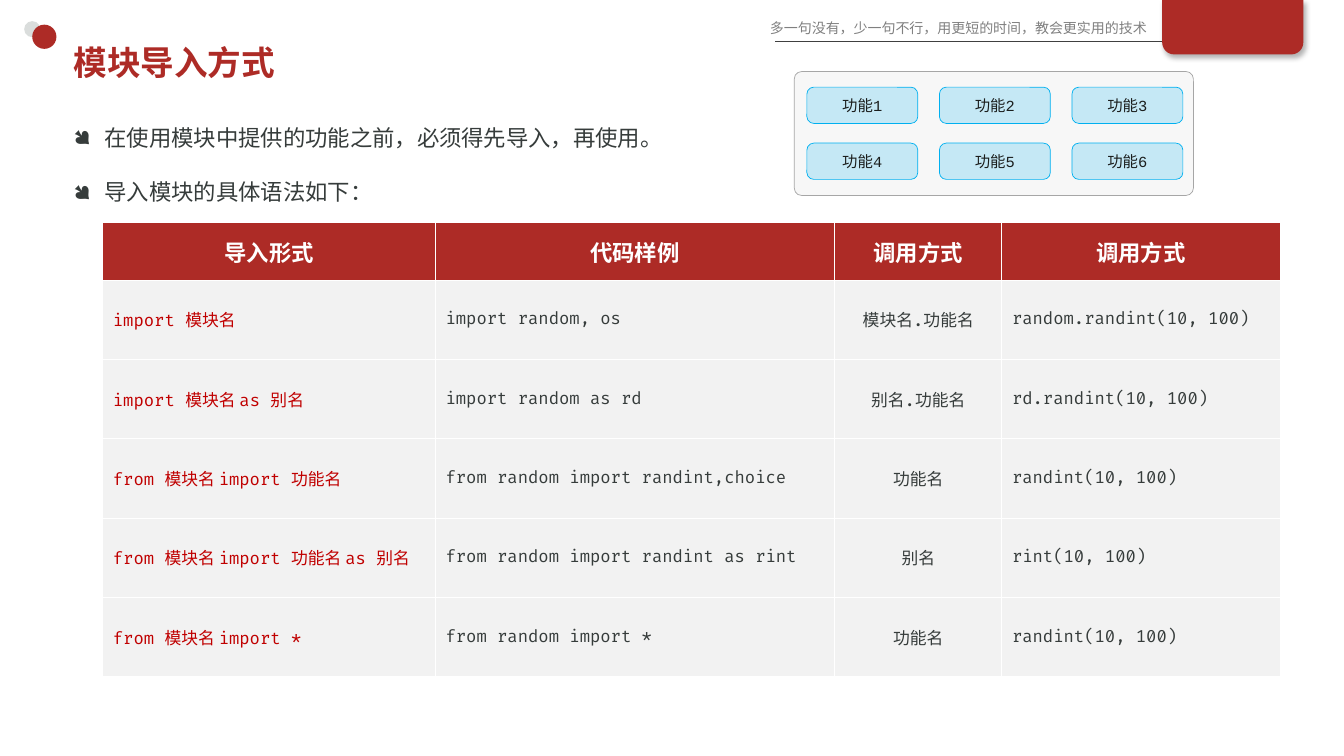
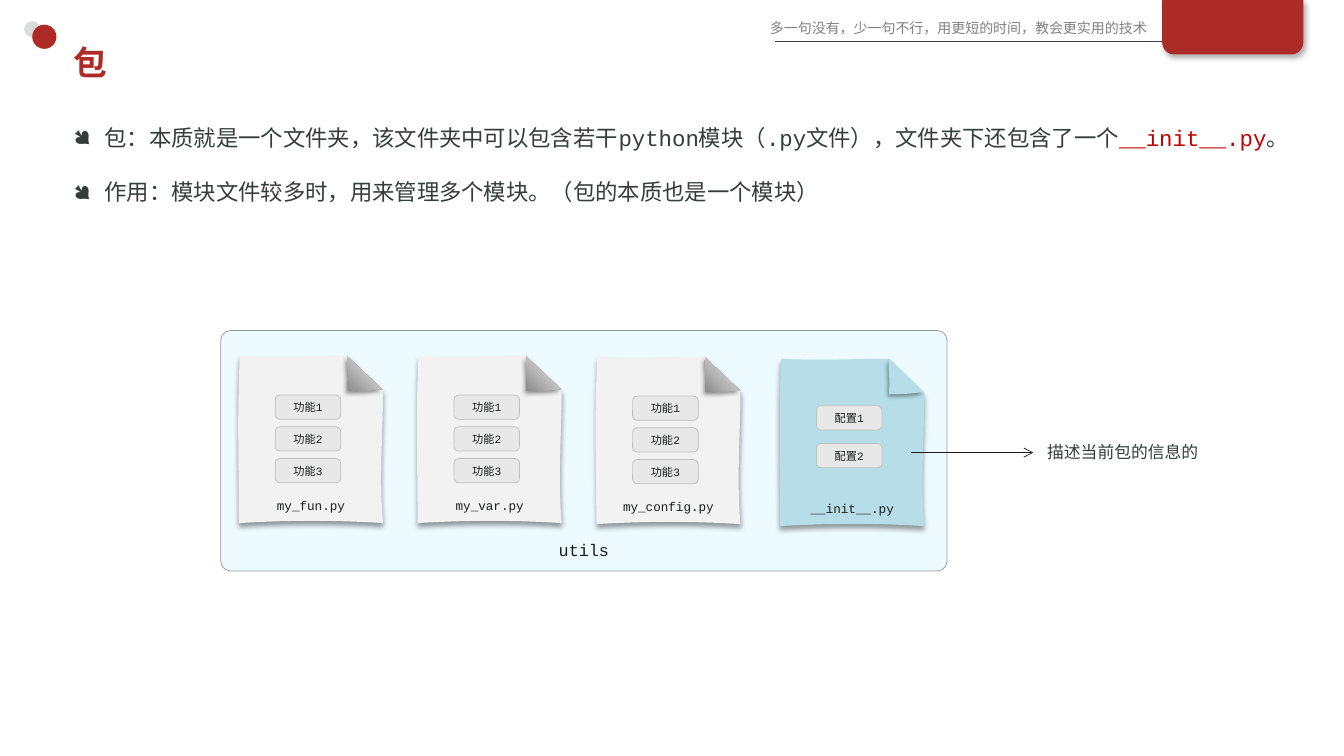
from lxml.etree import Element, SubElement
from pptx import Presentation
from pptx.dml.color import RGBColor
from pptx.enum.shapes import MSO_CONNECTOR, MSO_SHAPE
from pptx.enum.text import MSO_ANCHOR, MSO_AUTO_SIZE, PP_ALIGN
from pptx.oxml.ns import qn
from pptx.util import Inches, Pt

COLORS = {
    "brand": "AD2B26", "dot": "DADDDC", "rule": "404040", "motto": "808080",
    "body": "363C3B", "ink": "1B1E1D", "accent": "C00000", "white": "FFFFFF",
    "cell": "F2F2F2", "panel": "D9D9D9", "panel_edge": "A6A6A6", "sky": "00B0F0",
    "folder": "A7E8FF", "folder_edge": "8F9997", "page": "F2F2F2", "init": "B7DEE8",
    "tag": "E8E8E8", "tag_edge": "BFBFBF", "fold": "8C8C8C", "shadow": "000000",
}
MONO, CODE, HAN = "Courier New", "Fira Code", "Noto Sans CJK SC"
CENTER, LEFT = PP_ALIGN.CENTER, PP_ALIGN.LEFT
MOTTO = "多一句没有，少一句不行，用更短的时间，教会更实用的技术"

# Import forms: syntax, sample, how to call, call sample
HEADINGS = ["导入形式", "代码样例", "调用方式", "调用方式"]
IMPORTS = [
    ["import 模块名", "import random, os", "模块名.功能名", "random.randint(10, 100)"],
    ["import 模块名 as 别名", "import random as rd", "别名.功能名", "rd.randint(10, 100)"],
    ["from 模块名 import 功能名", "from random import randint,choice", "功能名",
     "randint(10, 100)"],
    ["from 模块名 import 功能名 as 别名", "from random import randint as rint", "别名",
     "rint(10, 100)"],
    ["from 模块名 import *", "from random import *", "功能名", "randint(10, 100)"],
]

# Page outline on the grid, from the page's top left corner; six numbers are a curve
PAGE = [(0.2, 0), (4.2, 0.2, 7.2, 0, 10.8, 0), (10.9, 0), (14.4, 3.4),
        (14.4, 7.8, 14, 12, 14.4, 16.6), (9.5, 16.3, 5.2, 16.3, 0.1, 16.6),
        (0.1, 11, -0.1, 5.5, 0.2, 0)]
FOLD = [(10.9, 0.1), (14.3, 3.3), (13.1, 3.4, 13.3, 3.5, 10.9, 3.5),
        (11, 1.1, 10.8, 1.2, 10.9, 0.1)]


def grid(cells):
    """Columns or rows of the grid, each a tenth of an inch."""
    return Inches(cells / 10)


def rgb(name):
    return RGBColor.from_string(COLORS[name])


def style(paragraph, size, color, font=MONO, bold=False, align=LEFT):
    paragraph.alignment = align
    face = paragraph.font
    face.size, face.bold, face.name = Pt(size), bold, font
    face.color.rgb = rgb(color)
    defaults = paragraph._p.pPr.find(qn("a:defRPr"))
    SubElement(defaults, qn("a:ea")).set("typeface", HAN)


def paint(shape, fill, edge=None, opacity=None):
    shape.shadow.inherit = False
    shape.fill.solid()
    shape.fill.fore_color.rgb = rgb(fill)
    if opacity:
        tint = shape.fill._xPr.find(qn("a:solidFill"))[0]
        SubElement(tint, qn("a:alpha")).set("val", str(opacity * 1000))
    if edge:
        shape.line.color.rgb = rgb(edge)
        shape.line.width = Pt(0.5)
    else:
        shape.line.fill.background()


def cast_shadow(shape, opacity, blur, distance, angle):
    effects = shape._element.spPr.find(qn("a:effectLst"))
    shadow = SubElement(effects, qn("a:outerShdw"), blurRad=str(Pt(blur)),
                        dist=str(Pt(distance)), dir=str(angle * 60000),
                        algn="t", rotWithShape="0")
    tint = SubElement(shadow, qn("a:srgbClr"), val=COLORS["shadow"])
    SubElement(tint, qn("a:alpha"), val=str(opacity * 1000))


def label(shape, text, size, anchor=MSO_ANCHOR.MIDDLE, bottom=0):
    frame = shape.text_frame
    frame.margin_left = frame.margin_right = frame.margin_top = 0
    frame.margin_bottom = grid(bottom)
    frame.vertical_anchor = anchor
    frame.text = text
    style(frame.paragraphs[0], size, "ink", align=CENTER)


def add_preset(slide, preset, left, top, width, height, fill, edge=None,
               opacity=None, corners=()):
    shape = slide.shapes.add_shape(preset, grid(left), grid(top), grid(width), grid(height))
    for index, corner in enumerate(corners):
        shape.adjustments[index] = corner
    paint(shape, fill, edge, opacity)
    return shape


def add_rounded(slide, left, top, width, height, fill, edge, opacity=None, corner=0.19):
    return add_preset(slide, MSO_SHAPE.ROUNDED_RECTANGLE, left, top, width, height,
                      fill, edge, opacity, [corner])


def add_note(slide, left, top, width, height, text, size, color, wrap=True):
    box = slide.shapes.add_textbox(grid(left), grid(top), grid(width), grid(height))
    frame = box.text_frame
    frame.word_wrap = wrap
    frame.vertical_anchor = MSO_ANCHOR.MIDDLE
    frame.text = text
    style(frame.paragraphs[0], size, color, HAN)


def add_rule(slide, start, end, row, color, width):
    rule = slide.shapes.add_connector(MSO_CONNECTOR.STRAIGHT, grid(start), grid(row),
                                      grid(end), grid(row))
    rule.line.color.rgb = rgb(color)
    rule.line.width = Pt(width)
    SubElement(rule._element.spPr, qn("a:effectLst"))
    return rule


def add_outline(slide, left, top, outline, fill):
    """A closed outline through the end point of each part, with its curves bent."""
    ends = [(grid(left + part[-2]), grid(top + part[-1])) for part in outline]
    builder = slide.shapes.build_freeform(*ends[0])
    builder.add_line_segments(ends[1:], close=True)
    shape = builder.convert_to_shape()
    segments = list(shape._element.iter(qn("a:lnTo")))
    for segment, part in zip(segments, outline[1:]):
        if len(part) == 2:
            continue
        curve = Element(qn("a:cubicBezTo"))
        for x, y in (part[:2], part[2:4], part[4:]):
            SubElement(curve, qn("a:pt"), x=str(grid(left + x) - shape.left),
                       y=str(grid(top + y) - shape.top))
        segment.getparent().replace(segment, curve)
    paint(shape, fill)
    return shape


def add_slide(deck, heading):
    """A slide with the shared motto, corner band, dots and title."""
    slide = deck.slides.add_slide(deck.slide_layouts[5])
    add_note(slide, 75.4, 1.4, 42.1, 2.7, MOTTO, 10, "motto")
    add_rule(slide, 76.9, 116.3, 4.1, "rule", 1)
    band = add_preset(slide, MSO_SHAPE.ROUND_2_SAME_RECTANGLE, 115.3, 0, 14, 5.4,
                      "brand", corners=[0, 0.22])
    cast_shadow(band, 30, 4, 3, 60)
    add_preset(slide, MSO_SHAPE.OVAL, 2.4, 2.1, 1.6, 1.6, "dot")
    add_preset(slide, MSO_SHAPE.OVAL, 3.2, 2.45, 2.4, 2.4, "brand")
    title = slide.shapes.title
    title.left, title.top, title.width, title.height = map(grid, (6.3, 3.6, 117.5, 5.2))
    frame = title.text_frame
    frame.auto_size = MSO_AUTO_SIZE.NONE
    frame.vertical_anchor = MSO_ANCHOR.MIDDLE
    frame.text = heading
    style(frame.paragraphs[0], 24, "brand", bold=True)
    return slide


def add_bullets(slide, width, points):
    """Each point is a list of runs; a (text, colour) pair is a highlighted run."""
    box = slide.shapes.add_textbox(grid(6.3), grid(10.5), grid(width), grid(11.5))
    frame = box.text_frame
    frame.word_wrap = True
    for index, runs in enumerate(points):
        paragraph = frame.add_paragraph() if index else frame.paragraphs[0]
        paragraph.line_spacing = 1.5
        paragraph.space_before = Pt(10 if index else 0)
        properties = paragraph._p.get_or_add_pPr()
        properties.set("marL", str(grid(3.1)))
        properties.set("indent", str(-grid(3.1)))
        SubElement(properties, qn("a:buFont")).set("typeface", "Wingdings")
        SubElement(properties, qn("a:buChar")).set("char", "●")
        style(paragraph, 16, "body")
        for part in runs:
            text, color = part if isinstance(part, tuple) else (part, None)
            run = paragraph.add_run()
            run.text = text
            if color:
                run.font.color.rgb = rgb(color)


def fill_cell(cell, text, fill, **look):
    cell.text = text
    cell.vertical_anchor = MSO_ANCHOR.MIDDLE
    style(cell.text_frame.paragraphs[0], **look)
    properties = cell._tc.get_or_add_tcPr()
    for side in ("a:lnL", "a:lnR", "a:lnT", "a:lnB"):
        border = SubElement(properties, qn(side), w=str(Pt(0.75)))
        SubElement(SubElement(border, qn("a:solidFill")), qn("a:srgbClr"),
                   val=COLORS["white"])
    cell.fill.solid()
    cell.fill.fore_color.rgb = rgb(fill)


def add_import_table(slide):
    columns, rows = [33, 39.6, 16.6, 27.6], [5.7] + [7.87] * len(IMPORTS)
    table = slide.shapes.add_table(len(rows), len(columns), grid(10.2), grid(22.1),
                                   grid(sum(columns)), grid(sum(rows))).table
    for column, width in zip(table.columns, columns):
        column.width = grid(width)
    for row, height in zip(table.rows, rows):
        row.height = grid(height)
    for col, heading in enumerate(HEADINGS):
        fill_cell(table.cell(0, col), heading, "brand", size=16, color="white",
                  bold=True, align=CENTER)
    for row, form in enumerate(IMPORTS, 1):
        for col, text in enumerate(form):
            fill_cell(table.cell(row, col), text, "cell", size=12, font=CODE,
                      color="body" if col else "accent",
                      align=CENTER if col == 2 else LEFT)


def add_module_panel(slide):
    add_rounded(slide, 78.8, 7.1, 39.6, 12.3, "panel", "panel_edge", 20, 0.06)
    for index in range(6):
        row, col = divmod(index, 3)
        feature = add_rounded(slide, 80.05 + 13.15 * col, 8.65 + 5.55 * row, 11, 3.6,
                              "sky", "sky", 20)
        label(feature, f"功能{index + 1}", 11)


def add_page(slide, left, top, file_name, tags, first, pitch, fill="page"):
    page = add_outline(slide, left, top, PAGE, fill)
    cast_shadow(page, 40, 4, 3, 90)
    label(page, file_name, 9, MSO_ANCHOR.BOTTOM, 1)
    fold = add_outline(slide, left, top, FOLD, fill)
    cast_shadow(fold, 40, 3, 2, 120)
    if fill == "page":
        fold.fill.gradient()
        fold.fill.gradient_angle = 45
        for stop, color in zip(fold.fill.gradient_stops, ("fold", "page")):
            stop.color.rgb = rgb(color)
    for index, tag in enumerate(tags):
        box = add_rounded(slide, left + 3.7, top + first + pitch * index, 6.5, 2.4,
                          "tag", "tag_edge")
        label(box, tag, 8)


def add_package(slide):
    folder = add_rounded(slide, 21.9, 32.8, 72.05, 23.85, "folder", "folder_edge", 20, 0.04)
    label(folder, "utils", 12, MSO_ANCHOR.BOTTOM, 0.8)
    features = ["功能1", "功能2", "功能3"]
    modules = [("my_fun.py", 35.3), ("my_var.py", 35.3), ("my_config.py", 35.4)]
    for index, (file_name, top) in enumerate(modules):
        add_page(slide, 23.6 + 17.73 * index, top, file_name, features, 3.9, 3.15)
    add_page(slide, 77.3, 35.6, "__init__.py", ["配置1", "配置2"], 4.65, 3.75, "init")
    arrow = add_rule(slide, 90.4, 102.5, 44.9, "ink", 0.5)
    SubElement(arrow.line._get_or_add_ln(), qn("a:tailEnd")).set("type", "arrow")
    add_note(slide, 102.9, 43.3, 17.2, 3, "描述当前包的信息的", 12, "body", wrap=False)


def main():
    deck = Presentation()
    deck.slide_width, deck.slide_height = grid(133.33), grid(75)

    # Ways to import a module
    imports = add_slide(deck, "模块导入方式")
    add_bullets(imports, 62.3, [["在使用模块中提供的功能之前，必须得先导入，再使用。"],
                                ["导入模块的具体语法如下："]])
    add_import_table(imports)
    add_module_panel(imports)

    # Packages
    package = add_slide(deck, "包")
    add_bullets(package, 123, [
        ["包：本质就是一个文件夹，该文件夹中可以包含若干python模块（.py文件），文件夹下还包含了一个",
         ("__init__.py", "accent"), "。"],
        ["作用：模块文件较多时，用来管理多个模块。（包的本质也是一个模块）"]])
    add_package(package)
    deck.save("out.pptx")


if __name__ == "__main__":
    main()
